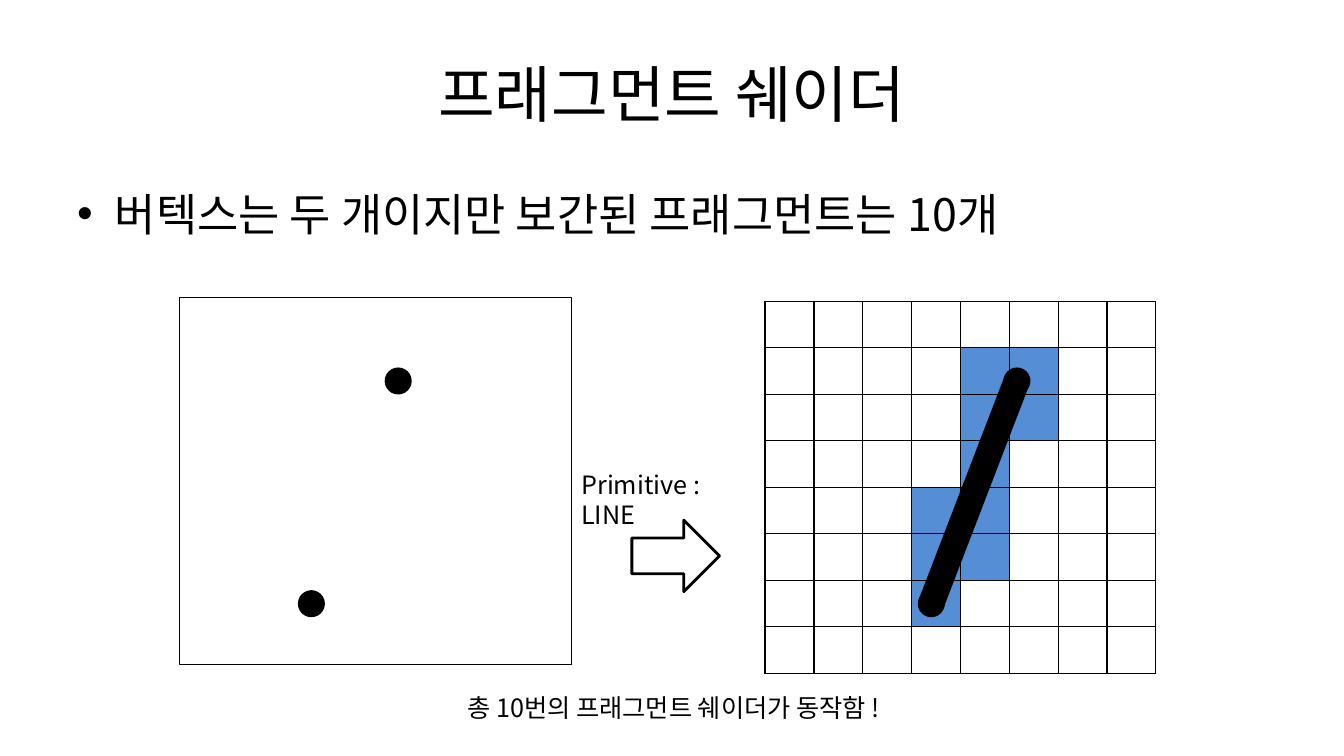
from dataclasses import dataclass
from typing import Optional

import pptx
import pptx.dml.color
import pptx.enum.shapes
import pptx.enum.text
import pptx.oxml
import pptx.oxml.ns
import pptx.oxml.xmlchemy
import pptx.util
from lxml import etree

Pt = pptx.util.Pt
RGBColor = pptx.dml.color.RGBColor
Preset = pptx.enum.shapes.MSO_SHAPE
Align = pptx.enum.text.PP_ALIGN
Anchor = pptx.enum.text.MSO_ANCHOR
qn = pptx.oxml.ns.qn

BLACK = RGBColor(0x00, 0x00, 0x00)
WHITE = RGBColor(0xFF, 0xFF, 0xFF)
FRAGMENT_BLUE = RGBColor(0x55, 0x8E, 0xD5)
FONT = "Noto Sans CJK KR"

GRID_SIZE = 8
CELL_WIDTH, CELL_HEIGHT = 34.9, 33.2
# Columns covered by the line, by grid row
FRAGMENTS = {1: (4, 5), 2: (4, 5), 3: (4,), 4: (3, 4), 5: (3, 4), 6: (3,)}
DOT = 17.3


@dataclass
class Label:
    text: str
    left: float
    top: float
    width: float
    height: float
    size: float
    line_spacing: Optional[float] = None
    align: Align = Align.LEFT
    anchor: Anchor = Anchor.TOP
    bullet_indent: float = 0


@dataclass
class Figure:
    preset: Preset
    left: float
    top: float
    width: float
    height: float
    fill: Optional[RGBColor] = None
    line_width: float = 2


def set_attributes(target: object, values: dict) -> None:
    for name, value in values.items():
        setattr(target, name, value)


def add_label(slide, label: Label) -> None:
    box = slide.shapes.add_textbox(
        Pt(label.left), Pt(label.top), Pt(label.width), Pt(label.height))
    set_attributes(box.text_frame,
                   {"word_wrap": True, "vertical_anchor": label.anchor})
    paragraph = box.text_frame.paragraphs[0]
    paragraph.alignment = label.align
    if label.line_spacing:
        paragraph.line_spacing = Pt(label.line_spacing)
    run = paragraph.add_run()
    run.text = label.text
    set_attributes(run.font, {"name": FONT, "size": Pt(label.size)})
    run.font.color.rgb = BLACK
    etree.SubElement(run.font._element, qn("a:ea")).set("typeface", FONT)
    if label.bullet_indent:
        properties = paragraph._p.get_or_add_pPr()
        indent = Pt(label.bullet_indent)
        properties.set("marL", str(indent))
        properties.set("indent", str(-indent))
        etree.SubElement(properties, qn("a:buFont")).set("typeface", "Arial")
        etree.SubElement(properties, qn("a:buChar")).set("char", "•")


def add_figure(slide, figure: Figure) -> None:
    shape = slide.shapes.add_shape(
        figure.preset, Pt(figure.left), Pt(figure.top),
        Pt(figure.width), Pt(figure.height))
    shape.shadow.inherit = False
    if figure.fill is None:
        shape.fill.background()
    else:
        shape.fill.solid()
        shape.fill.fore_color.rgb = figure.fill
    shape.line.color.rgb = BLACK
    shape.line.width = Pt(figure.line_width)


def add_cell_borders(cell) -> None:
    properties = cell._tc.get_or_add_tcPr()
    for position, side in enumerate(("lnL", "lnR", "lnT", "lnB")):
        border = etree.Element(qn(f"a:{side}"), w=str(Pt(1)))
        fill = etree.SubElement(border, qn("a:solidFill"))
        etree.SubElement(fill, qn("a:srgbClr")).set("val", str(BLACK))
        properties.insert(position, border)


def add_fragment_grid(slide, left: float, top: float) -> None:
    grid = slide.shapes.add_table(
        GRID_SIZE, GRID_SIZE, Pt(left), Pt(top),
        Pt(GRID_SIZE * CELL_WIDTH), Pt(GRID_SIZE * CELL_HEIGHT)).table
    set_attributes(grid, {"first_row": False, "horz_banding": False})
    for column in grid.columns:
        column.width = Pt(CELL_WIDTH)
    for row_index, row in enumerate(grid.rows):
        row.height = Pt(CELL_HEIGHT)
        for column_index, cell in enumerate(row.cells):
            if column_index in FRAGMENTS.get(row_index, ()):
                cell.fill.solid()
                cell.fill.fore_color.rgb = FRAGMENT_BLUE
            else:
                cell.fill.background()
            add_cell_borders(cell)


def add_primitive_line(slide, start: tuple, end: tuple) -> None:
    line = slide.shapes.add_connector(
        pptx.enum.shapes.MSO_CONNECTOR.STRAIGHT,
        *(Pt(length) for length in start + end))
    line.line.color.rgb = BLACK
    line.line.width = Pt(18.75)
    etree.SubElement(line._element.spPr, qn("a:effectLst"))


LABELS = [
    Label("프래그먼트 쉐이더", 48, 21.6, 864, 90, 44,
          align=Align.CENTER, anchor=Anchor.MIDDLE),
    Label("버텍스는 두 개이지만 보간된 프래그먼트는 10개", 48, 126, 864, 356.4, 32,
          line_spacing=42, bullet_indent=27),
    Label("Primitive : LINE", 408.2, 331.9, 139.7, 28.8, 18, line_spacing=21.5),
    Label("총 10번의 프래그먼트 쉐이더가 동작함 !", 326.9, 491, 357.1, 28.8, 18,
          line_spacing=21.5),
]

# Both vertices, before and after rasterization
VERTICES = [
    Figure(Preset.OVAL, left, top, DOT, DOT, BLACK)
    for left, top in ((213.8, 422.6), (275.8, 263.5),
                      (656.6, 422.6), (717.8, 263.5))
]
FIGURES = VERTICES + [
    Figure(Preset.RECTANGLE, 128.2, 212.4, 280, 262.1, line_width=1),
    Figure(Preset.RIGHT_ARROW, 451.4, 371.5, 62.6, 51.1, WHITE),
]

presentation = pptx.Presentation()
set_attributes(presentation, {"slide_width": Pt(960), "slide_height": Pt(540)})
slide = presentation.slides.add_slide(presentation.slide_layouts[6])

# Rasterized fragments
add_fragment_grid(slide, 546.5, 215.3)

# Vertices, viewport and arrow
for figure in FIGURES:
    add_figure(slide, figure)

# Line through the two vertices
add_primitive_line(slide, (665.3, 430.8), (726.5, 271.6))

# Title, statement and captions
for label in LABELS:
    add_label(slide, label)

presentation.save("out.pptx")
